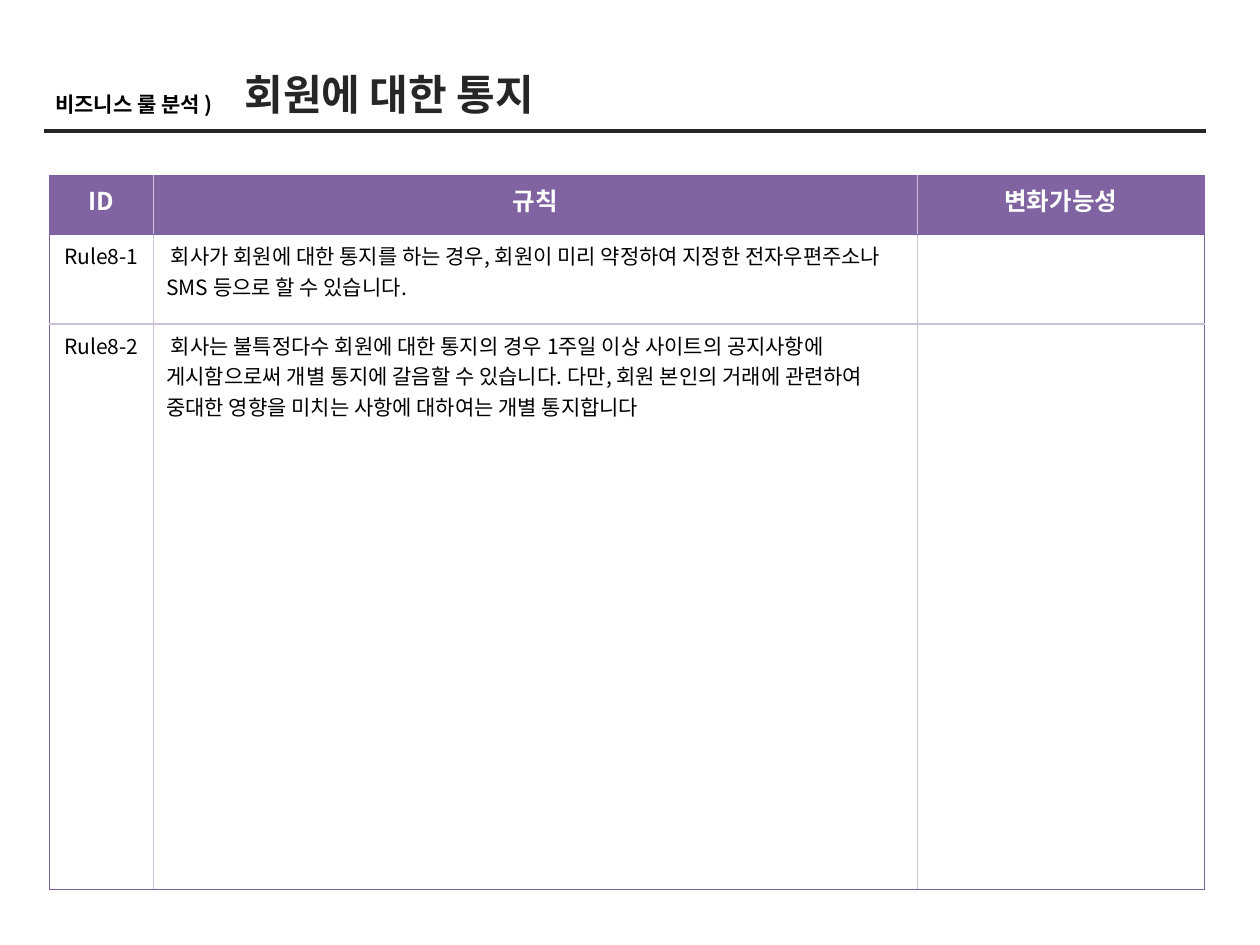
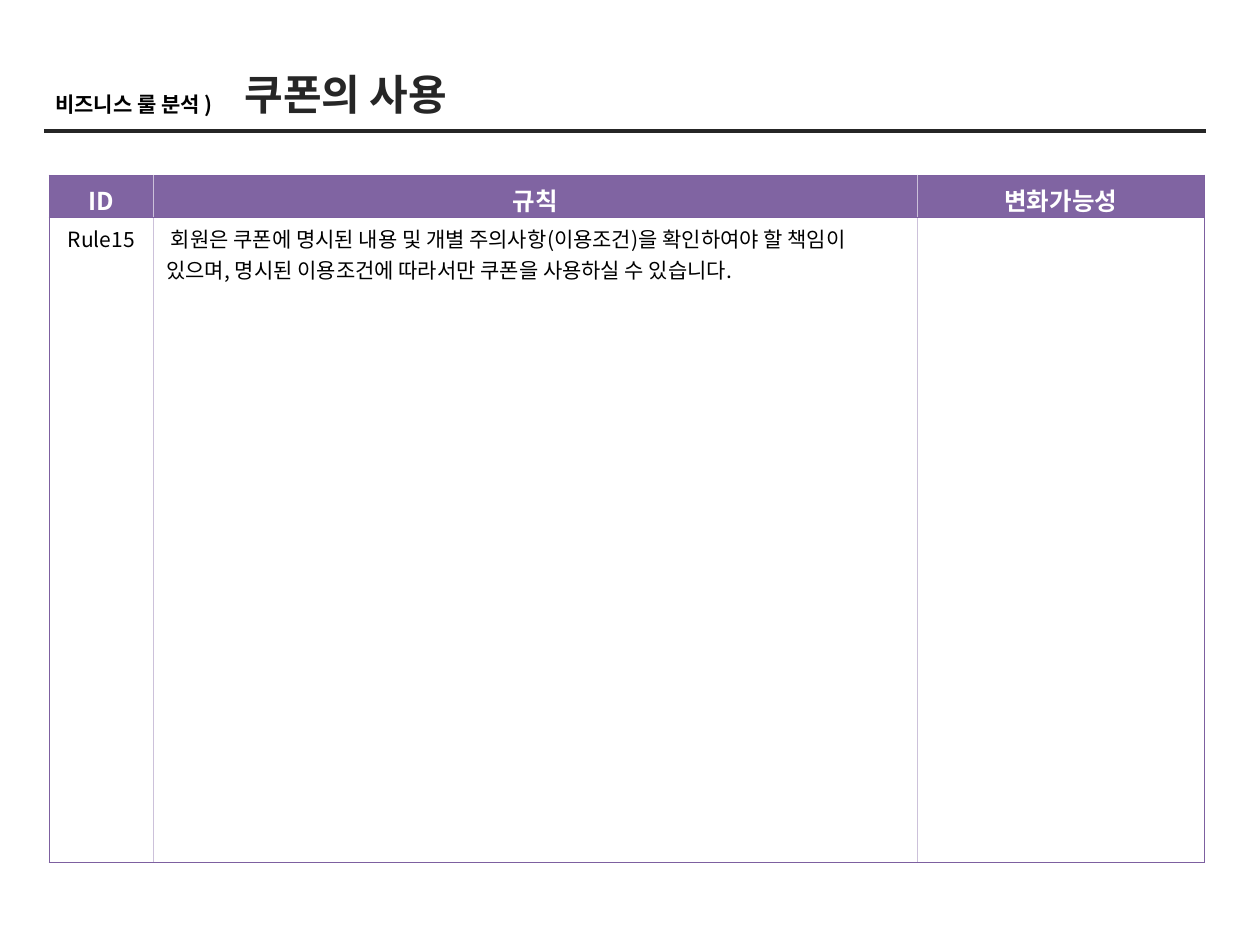
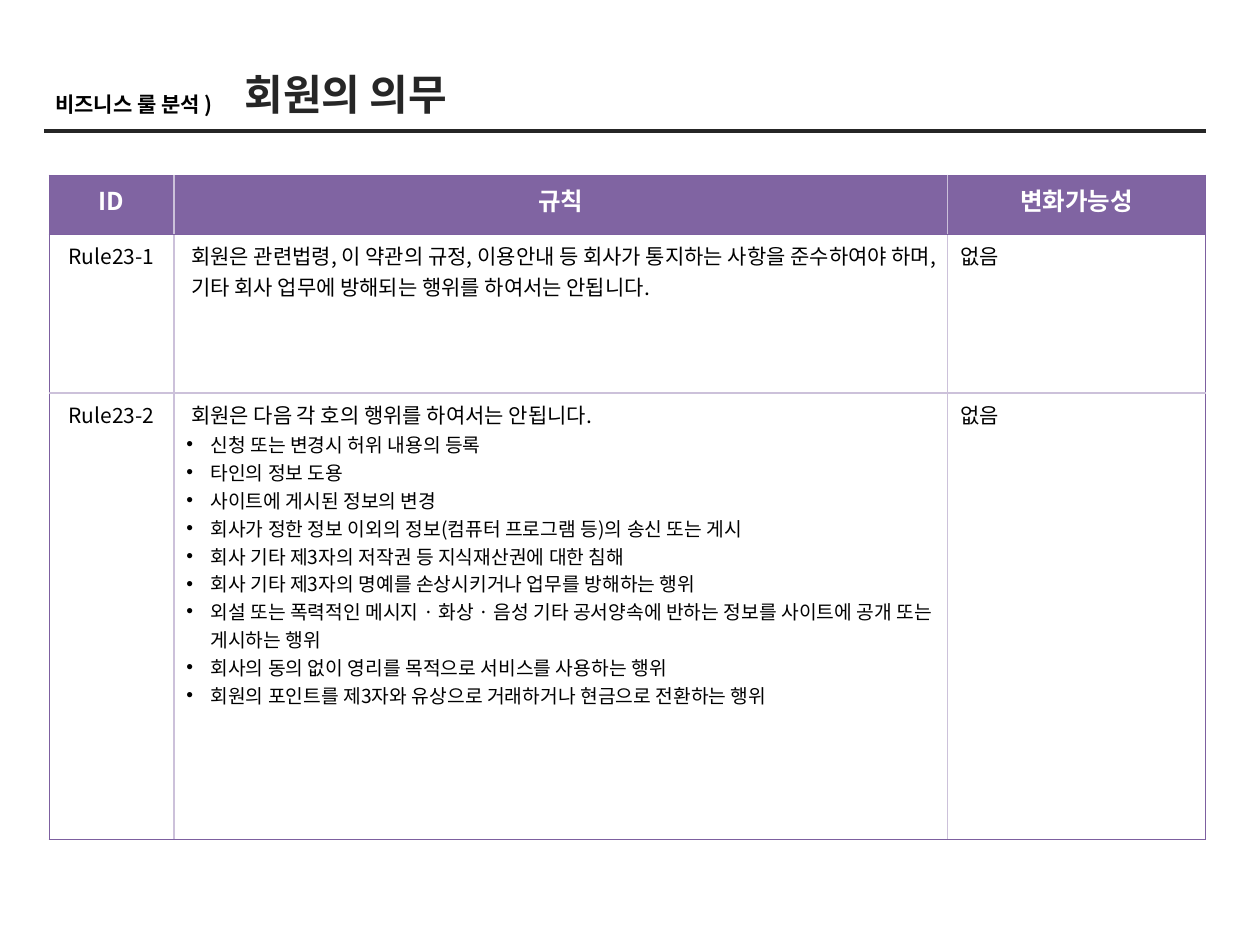
import pptx
import pptx.util
import pptx.dml.color
import pptx.enum.shapes
import pptx.enum.text
import pptx.oxml.ns
from lxml import etree

Inches, Pt = pptx.util.Inches, pptx.util.Pt
RGB = pptx.dml.color.RGBColor.from_string
ALIGN = pptx.enum.text.PP_ALIGN
qn = pptx.oxml.ns.qn

COLORS = {"header": "8064A2", "edge": "7D60A0", "grid": "CCC1DA",
          "dark": "262626", "black": "000000", "white": "FFFFFF"}
KOREAN = "Noto Sans CJK KR"
SECTION = "비즈니스 룰 분석 )"
HEADERS = ["ID", "규칙", "변화가능성"]
STYLES = {
    "title": {"size": Pt(24), "bold": True, "name": "Arial", "color": "dark"},
    "section": {"size": Pt(12), "bold": True, "name": KOREAN, "color": "black"},
    "header": {"size": Pt(14), "bold": True, "name": KOREAN, "color": "white"},
    "body": {"size": Pt(12), "bold": False, "name": KOREAN, "color": "black"},
    "bullet": {"size": Pt(11), "bold": False, "name": KOREAN, "color": "black"},
}
BOX = {"word_wrap": False, "auto_size": pptx.enum.text.MSO_AUTO_SIZE.SHAPE_TO_FIT_TEXT,
       "vertical_anchor": pptx.enum.text.MSO_ANCHOR.TOP,
       "margin_left": Inches(0.1), "margin_right": Inches(0.1),
       "margin_top": Inches(0.05), "margin_bottom": Inches(0.05)}

SLIDES = [
    {"title": "회원에 대한 통지", "width": 2.8,
     "cols": [0.83, 6.06, 2.28], "heights": [0.47, 0.71, 4.49],
     "rules": [
         ("Rule8-1", [" 회사가 회원에 대한 통지를 하는 경우, 회원이 미리 약정하여 지정한 "
                      "전자우편주소나 SMS 등으로 할 수 있습니다."], ""),
         ("Rule8-2", [" 회사는 불특정다수 회원에 대한 통지의 경우 1주일 이상 사이트의 공지사항에 "
                      "게시함으로써 개별 통지에 갈음할 수 있습니다. 다만, 회원 본인의 거래에 관련하여 "
                      "중대한 영향을 미치는 사항에 대하여는 개별 통지합니다"], ""),
     ]},
    {"title": "쿠폰의 사용", "width": 2,
     "cols": [0.83, 6.06, 2.28], "heights": [0.31, 5.12],
     "rules": [
         ("Rule15", [" 회원은 쿠폰에 명시된 내용 및 개별 주의사항(이용조건)을 확인하여야 할 책임이 "
                     "있으며, 명시된 이용조건에 따라서만 쿠폰을 사용하실 수 있습니다."], ""),
     ]},
    {"title": "회원의 의무", "width": 2,
     "cols": [0.99, 6.14, 2.05], "heights": [0.47, 1.26, 3.54],
     "rules": [
         ("Rule23-1", [" 회원은 관련법령, 이 약관의 규정, 이용안내 등 회사가 통지하는 사항을 준수하여야 "
                       "하며, 기타 회사 업무에 방해되는 행위를 하여서는 안됩니다."], "없음"),
         ("Rule23-2", [" 회원은 다음 각 호의 행위를 하여서는 안됩니다.",
                       "신청 또는 변경시 허위 내용의 등록",
                       "타인의 정보 도용",
                       "사이트에 게시된 정보의 변경",
                       "회사가 정한 정보 이외의 정보(컴퓨터 프로그램 등)의 송신 또는 게시",
                       "회사 기타 제3자의 저작권 등 지식재산권에 대한 침해",
                       "회사 기타 제3자의 명예를 손상시키거나 업무를 방해하는 행위",
                       "외설 또는 폭력적인 메시지 · 화상 · 음성 기타 공서양속에 반하는 정보를 "
                       "사이트에 공개 또는 게시하는 행위",
                       "회사의 동의 없이 영리를 목적으로 서비스를 사용하는 행위",
                       "회원의 포인트를 제3자와 유상으로 거래하거나 현금으로 전환하는 행위"], "없음"),
     ]},
]


def write(p, text, style, align=ALIGN.LEFT):
    p.alignment = align
    r = p.add_run()
    r.text = text
    for key, value in STYLES[style].items():
        if key == "color":
            r.font.color.rgb = RGB(COLORS[value])
        else:
            setattr(r.font, key, value)
    latin = r.font._element.find(qn("a:latin"))
    ea = etree.Element(qn("a:ea"), typeface=KOREAN)
    latin.addnext(ea)


def set_border(cell, side, color, width):
    ln = etree.SubElement(cell._tc.get_or_add_tcPr(), qn("a:ln" + side), w=str(Pt(width)))
    fill = etree.SubElement(ln, qn("a:solidFill"))
    etree.SubElement(fill, qn("a:srgbClr"), val=COLORS[color])


prs = pptx.Presentation()
prs.slide_width, prs.slide_height = Inches(10), Inches(7.5)

for data in SLIDES:
    s = prs.slides.add_slide(prs.slide_layouts[5])

    title = s.shapes.title
    title.left, title.top = Inches(1.84), Inches(0.49)
    title.width, title.height = Inches(data["width"]), Inches(0.5)
    section = s.shapes.add_textbox(Inches(0.34), Inches(0.68), Inches(1.62), Inches(0.3))
    for sp, text, style in [(title, data["title"], "title"), (section, SECTION, "section")]:
        tf = sp.text_frame
        for key, value in BOX.items():
            setattr(tf, key, value)
        write(tf.paragraphs[0], text, style)

    rule = s.shapes.add_connector(pptx.enum.shapes.MSO_CONNECTOR.STRAIGHT,
                                  Inches(0.35), Inches(1.04), Inches(9.57), Inches(1.04))
    rule.line.color.rgb = RGB(COLORS["dark"])
    rule.line.width = Pt(2.25)
    etree.SubElement(rule._element.spPr, qn("a:effectLst"))

    n_rows, n_cols = len(data["heights"]), len(data["cols"])
    table = s.shapes.add_table(n_rows, n_cols, Inches(0.39), Inches(1.39),
                               Inches(sum(data["cols"])), Inches(sum(data["heights"]))).table
    table.horz_banding = False
    for col, width in zip(table.columns, data["cols"]):
        col.width = Inches(width)
    for row, height in zip(table.rows, data["heights"]):
        row.height = Inches(height)

    for i in range(n_rows):
        for j in range(n_cols):
            cell = table.cell(i, j)
            outer = {"L": j == 0, "R": j == n_cols - 1,
                     "T": i <= 1, "B": i in (0, n_rows - 1)}
            for side, is_edge in outer.items():
                set_border(cell, side, *(("edge", 0.75) if is_edge else ("grid", 1)))
            if i == 0:
                cell.fill.solid()
                cell.fill.fore_color.rgb = RGB(COLORS["header"])
                write(cell.text_frame.paragraphs[0], HEADERS[j], "header", ALIGN.CENTER)
            else:
                cell.fill.background()

    for i, (rule_id, lines, change) in enumerate(data["rules"], 1):
        write(table.cell(i, 0).text_frame.paragraphs[0], rule_id, "body", ALIGN.CENTER)
        tf = table.cell(i, 1).text_frame
        write(tf.paragraphs[0], lines[0], "body")
        for line in lines[1:]:
            p = tf.add_paragraph()
            write(p, line, "bullet")
            pPr = p._p.get_or_add_pPr()
            pPr.set("marL", str(Inches(0.19)))
            pPr.set("indent", str(Inches(-0.19)))
            etree.SubElement(pPr, qn("a:buFont"), typeface="Arial")
            etree.SubElement(pPr, qn("a:buChar"), char="•")
        if change:
            write(table.cell(i, 2).text_frame.paragraphs[0], change, "body")

prs.save("out.pptx")
